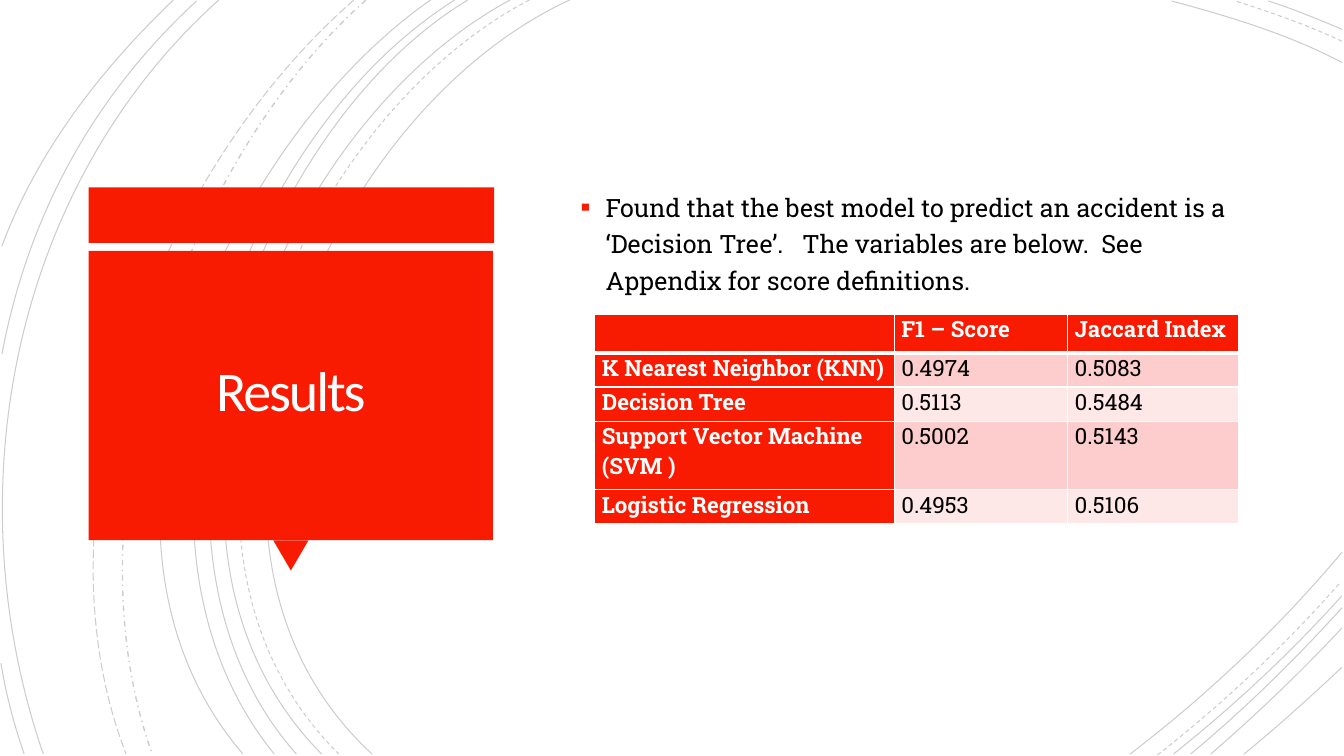
from dataclasses import dataclass
from lxml.etree import SubElement
from pptx import Presentation
from pptx.dml.color import RGBColor
from pptx.enum.dml import MSO_LINE
from pptx.enum.shapes import MSO_SHAPE
from pptx.enum.text import MSO_ANCHOR, PP_ALIGN
from pptx.oxml.ns import qn
from pptx.util import Pt

PX = 9144


@dataclass(frozen=True)
class Theme:
    """Colours, fonts and type sizes of the slide."""
    red: str = "F81B02"
    pale: str = "FEE8E7"
    pink: str = "FCCDCC"
    black: str = "000000"
    white: str = "FFFFFF"
    cream: str = "FFFEFF"
    head: str = "Calibri"
    body: str = "Roboto Slab"
    title: int = 40
    text: int = 18
    cell: int = 16


THEME = Theme()

ARCS = {
    (MSO_LINE.SOLID, 0.75): [
        (565, 0, 315, 115, 143, 540, 369, 748),
        (1331, 62, 1278, 34, 1218, 16, 1162, 1),
        (1121, 748, 1197, 690, 1269, 622, 1331, 548),
        (506, 0, 270, 127, 110, 537, 319, 748),
        (1331, 29, 1307, 19, 1283, 9, 1258, 1),
        (1164, 748, 1223, 701, 1280, 648, 1331, 591),
        (464, 0, 244, 133, 110, 541, 294, 748),
        (1181, 748, 1234, 704, 1284, 655, 1331, 603),
        (451, 0, 231, 138, 97, 533, 272, 748),
        (1201, 748, 1246, 709, 1290, 667, 1331, 623),
        (427, 0, 217, 147, 53, 529, 241, 748),
        (1234, 748, 1267, 721, 1299, 692, 1331, 662),
        (217, 0, 11, 185, -46, 490, 43, 748),
        (195, 1, 92, 96, 28, 214, 2, 351),
        (1, 658, 6, 689, 14, 719, 24, 748),
        (172, 0, 100, 69, 37, 150, 2, 244),
    ],
    (MSO_LINE.DASH, 0.75): [
        (525, 0, 285, 125, 123, 537, 336, 748),
        (1331, 41, 1297, 25, 1260, 12, 1225, 1),
        (1148, 749, 1213, 698, 1275, 640, 1330, 577),
    ],
    (MSO_LINE.DASH_DOT, 1): [(363, 0, 176, 166, 65, 509, 151, 748)],
    (MSO_LINE.LONG_DASH, 0.75): [(351, 0, 157, 169, 29, 499, 125, 748)],
}

BLOCKS = [
    (MSO_SHAPE.RECTANGLE, (88, 186, 402, 55), 0),
    (MSO_SHAPE.ISOSCELES_TRIANGLE, (271, 536, 35, 30), 180),
    (MSO_SHAPE.RECTANGLE, (88, 249, 401, 287), 0),
]

FOUND = ("Found that the best model to predict an accident is a ‘Decision Tree’.   "
         "The variables are below.  See Appendix for score definitions.")

SCORES = [
    ("", "F1 – Score", "Jaccard Index"),
    ("K Nearest Neighbor (KNN)", "0.4974", "0.5083"),
    ("Decision Tree", "0.5113", "0.5484"),
    ("Support Vector Machine \v(SVM )", "0.5002", "0.5143"),
    ("Logistic Regression", "0.4953", "0.5106"),
]
COLS = (297, 172, 170)
ROWS = (38, 34, 34, 68, 34)


def emu(*vals):
    """Turn px lengths into EMU."""
    return [val * PX for val in vals]


def assign(item, fmt):
    """Set each format value on the item."""
    for name, val in fmt.items():
        setattr(item, name, val)


def paint(fill, tint):
    """Give a fill one solid colour."""
    fill.solid()
    fill.fore_color.rgb = RGBColor.from_string(tint)


def style(font, tint, **fmt):
    """Set the colour and other values of a font."""
    assign(font, fmt)
    font.color.rgb = RGBColor.from_string(tint)


def bend(shape):
    """Turn the three straight steps of an outline into one cubic curve."""
    steps = list(shape.element.iter(qn("a:lnTo")))
    trail = steps[0].getparent()
    curve = SubElement(trail, qn("a:cubicBezTo"))
    for step in steps:
        curve.append(step[0])
        trail.remove(step)


def add_arc(slide, arc, dash, width):
    """Draw one faint arc as an open outline."""
    dots = list(zip(arc[::2], arc[1::2]))
    form = slide.shapes.build_freeform(*dots[0], scale=PX)
    form.add_line_segments(dots[1:], close=False)
    shape = form.convert_to_shape()
    bend(shape)
    shape.shadow.inherit = False
    shape.fill.background()
    paint(shape.line.fill, THEME.black)
    assign(shape.line, {"width": Pt(width), "dash_style": dash})
    for tint in shape.element.iter(qn("a:srgbClr")):
        SubElement(tint, qn("a:alpha"), val="20000")


def add_block(slide, kind, box, turn):
    """Draw one red block."""
    shape = slide.shapes.add_shape(kind, *emu(*box))
    shape.shadow.inherit = False
    shape.rotation = turn
    paint(shape.fill, THEME.red)
    shape.line.fill.background()


def add_text(slide, box, text, frame, para):
    """Add a wrapped text box and return its paragraph and run."""
    area = slide.shapes.add_textbox(*emu(*box)).text_frame
    assign(area, {"word_wrap": True, **frame})
    line = area.paragraphs[0]
    assign(line, para)
    run = line.add_run()
    run.text = text
    return line, run


def add_title(slide):
    """Add the title over the red block."""
    sides = ("margin_left", "margin_top", "margin_right", "margin_bottom")
    frame = {side: 25 * PX for side in sides}
    frame["vertical_anchor"] = MSO_ANCHOR.MIDDLE
    para = {"alignment": PP_ALIGN.CENTER, "line_spacing": 0.85}
    _, run = add_text(slide, (97, 257, 383, 269), "Results", frame, para)
    style(run.font, THEME.cream, name=THEME.head, size=Pt(THEME.title))
    run.font._element.set("spc", "-150")


def add_note(slide):
    """Add the bulleted finding."""
    frame = {"margin_top": 116 * PX, "vertical_anchor": MSO_ANCHOR.TOP}
    line, run = add_text(slide, (566, 69, 687, 574), FOUND, frame, {"line_spacing": 1.2})
    style(run.font, THEME.black, name=THEME.body, size=Pt(THEME.text))
    props = line._p.get_or_add_pPr()
    for name, val in {"marL": 25 * PX, "indent": -25 * PX}.items():
        props.set(name, str(val))
    SubElement(SubElement(props, qn("a:buClr")), qn("a:srgbClr"), val=THEME.red)
    SubElement(props, qn("a:buSzPct"), val="110000")
    SubElement(props, qn("a:buFont"), typeface=THEME.head)
    SubElement(props, qn("a:buChar"), char="▪")


def add_rims(cell, row):
    """Give a cell white borders, thick below the header."""
    props = cell._tc.get_or_add_tcPr()
    thick = {(0, "B"), (1, "T")}
    for side in "LRTB":
        width = Pt(3 if (row, side) in thick else 1)
        rim = SubElement(props, qn(f"a:ln{side}"), w=str(width))
        SubElement(SubElement(rim, qn("a:solidFill")), qn("a:srgbClr"), val=THEME.white)


def add_cell(cell, text, row, col):
    """Fill one table cell."""
    label = row == 0 or col == 0
    band = THEME.pink if row % 2 else THEME.pale
    assign(cell, {"margin_left": 7 * PX, "margin_right": 7 * PX,
                  "margin_top": 0, "margin_bottom": 0})
    add_rims(cell, row)
    paint(cell.fill, THEME.red if label else band)
    cell.text = text
    for run in cell.text_frame.paragraphs[0].runs:
        style(run.font, THEME.white if label else THEME.black,
              name=THEME.body, size=Pt(THEME.cell), bold=label)


def add_scores(slide):
    """Add the table of model scores."""
    box = emu(590, 312, sum(COLS), sum(ROWS))
    table = slide.shapes.add_table(len(ROWS), len(COLS), *box).table
    assign(table, {"first_col": True, "horz_banding": False})
    for col, width in zip(table.columns, COLS):
        col.width = width * PX
    for row, height in zip(table.rows, ROWS):
        row.height = height * PX
    for row, texts in enumerate(SCORES):
        for col, text in enumerate(texts):
            add_cell(table.cell(row, col), text, row, col)


def main():
    """Build the slide and save it."""
    deck = Presentation()
    assign(deck, {"slide_width": 1333 * PX, "slide_height": 750 * PX})
    slide = deck.slides.add_slide(deck.slide_layouts[6])
    for (dash, width), arcs in ARCS.items():
        for arc in arcs:
            add_arc(slide, arc, dash, width)
    for block in BLOCKS:
        add_block(slide, *block)
    add_title(slide)
    add_note(slide)
    add_scores(slide)
    deck.save("out.pptx")


if __name__ == "__main__":
    main()
